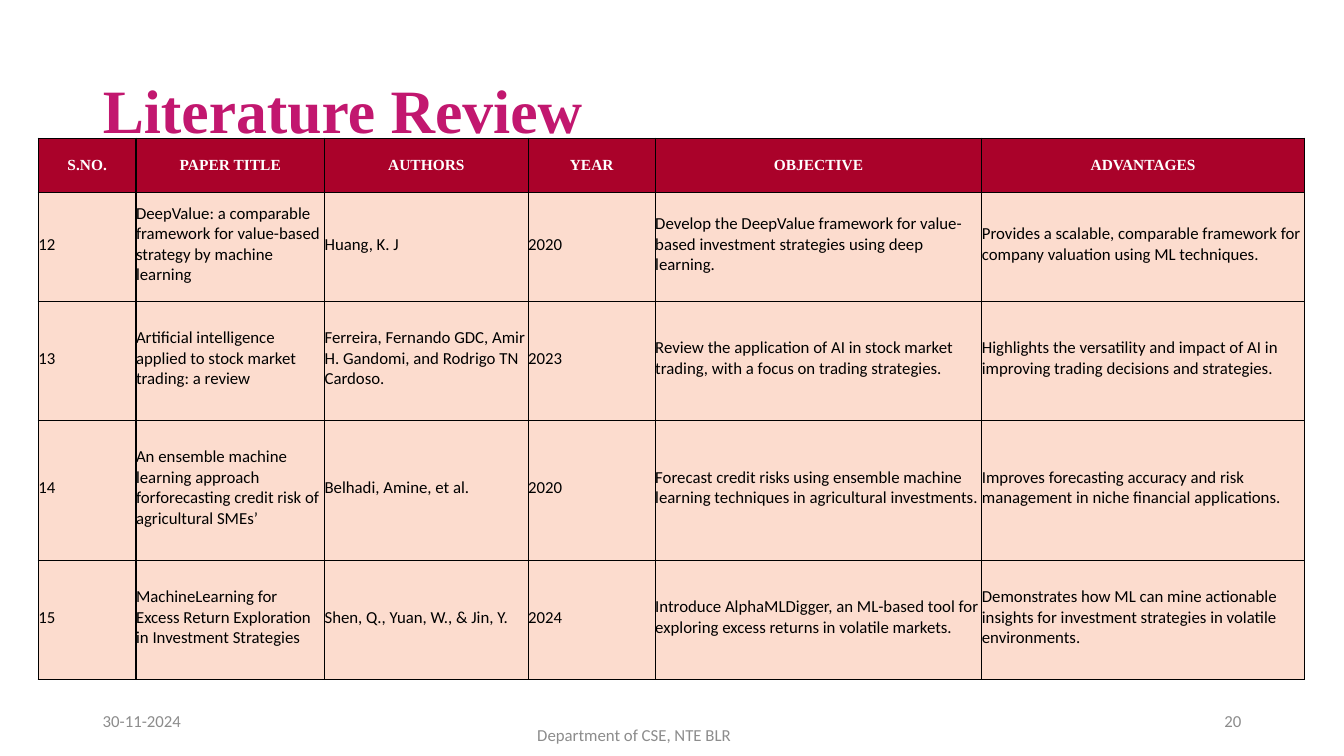
from lxml.etree import SubElement
from pptx import Presentation
from pptx.dml.color import RGBColor
from pptx.enum.text import MSO_ANCHOR, PP_ALIGN
from pptx.oxml.ns import qn
from pptx.util import Inches, Pt

MAGENTA = RGBColor(0xC2, 0x17, 0x6F)
CRIMSON = RGBColor(0xAA, 0x02, 0x2A)
PEACH = RGBColor(0xFC, 0xDC, 0xCE)
GREY = RGBColor(0x8C, 0x8C, 0x8C)
WHITE = RGBColor(0xFF, 0xFF, 0xFF)
BLACK = RGBColor(0, 0, 0)

TITLE_FONT = {"name": "Times New Roman", "size": Pt(44), "bold": True}
HEADER_FONT = {"name": "Times New Roman", "size": Pt(11), "bold": True}
BODY_FONT = {"name": "Calibri", "size": Pt(12), "bold": False}

WIDTH, HEIGHT = 13.33, 7.5
MARGIN = 0.92
FOOTER_WIDTH, FOOTER_TOP = 3, 6.95
TABLE_LEFT, TABLE_TOP = 0.38, 1.37
COLUMNS = [0.97, 1.87, 2.02, 1.26, 3.24, 3.2]
ROWS = [0.54, 1.08, 1.18, 1.39, 1.18]

PAPERS = [
    ("S.NO.", "PAPER TITLE", "AUTHORS", "YEAR", "OBJECTIVE", "ADVANTAGES"),
    ("12",
     "DeepValue: a comparable framework for value-based strategy by machine learning",
     "Huang, K. J", "2020",
     "Develop the DeepValue framework for value-based investment strategies using deep learning.",
     "Provides a scalable, comparable framework for company valuation using ML techniques."),
    ("13",
     "Artificial intelligence applied to stock market trading: a review",
     "Ferreira, Fernando GDC, Amir H. Gandomi, and Rodrigo TN Cardoso.", "2023",
     "Review the application of AI in stock market trading, with a focus on trading strategies.",
     "Highlights the versatility and impact of AI in improving trading decisions and strategies."),
    ("14",
     "An ensemble machine learning approach forforecasting credit risk of agricultural SMEs’",
     "Belhadi, Amine, et al.", "2020",
     "Forecast credit risks using ensemble machine learning techniques in agricultural investments.",
     "Improves forecasting accuracy and risk management in niche financial applications."),
    ("15",
     "MachineLearning for Excess Return Exploration in Investment Strategies",
     "Shen, Q., Yuan, W., & Jin, Y.", "2024",
     "Introduce AlphaMLDigger, an ML-based tool for exploring excess returns in volatile markets.",
     "Demonstrates how ML can mine actionable insights for investment strategies in volatile environments."),
]


def write(tf, text, font, color, align=PP_ALIGN.LEFT):
    p = tf.paragraphs[0]
    p.alignment = align
    r = p.add_run()
    r.text = text
    for name, value in font.items():
        setattr(r.font, name, value)
    r.font.color.rgb = color
    return p


def add_title(s, text):
    title = s.shapes.title
    title.left, title.top = Inches(MARGIN), Inches(0.4)
    title.width, title.height = Inches(WIDTH - 2 * MARGIN), Inches(1.45)
    tf = title.text_frame
    tf.vertical_anchor = MSO_ANCHOR.MIDDLE
    write(tf, text, TITLE_FONT, MAGENTA).line_spacing = 0.9


def add_footer(s, text, left, top, width, align):
    box = s.shapes.add_textbox(Inches(left), Inches(top), Inches(width), Inches(0.4))
    tf = box.text_frame
    tf.word_wrap = True
    tf.vertical_anchor = MSO_ANCHOR.MIDDLE
    write(tf, text, BODY_FONT, GREY, align)


def add_borders(cell):
    tc_pr = cell._tc.get_or_add_tcPr()
    for side in ("a:lnL", "a:lnR", "a:lnT", "a:lnB"):
        line = SubElement(tc_pr, qn(side), w=str(Pt(1)))
        fill = SubElement(line, qn("a:solidFill"))
        SubElement(fill, qn("a:srgbClr"), val=str(BLACK))


def fill_cell(cell, text, is_header):
    add_borders(cell)
    cell.fill.solid()
    cell.fill.fore_color.rgb = CRIMSON if is_header else PEACH
    cell.vertical_anchor = MSO_ANCHOR.MIDDLE
    if is_header:
        write(cell.text_frame, text, HEADER_FONT, WHITE, PP_ALIGN.CENTER)
    else:
        cell.margin_left = cell.margin_top = cell.margin_right = 0
        cell.margin_bottom = Inches(0.05)
        write(cell.text_frame, text, BODY_FONT, BLACK)


def add_papers_table(s):
    table = s.shapes.add_table(
        len(ROWS), len(COLUMNS), Inches(TABLE_LEFT), Inches(TABLE_TOP),
        Inches(sum(COLUMNS)), Inches(sum(ROWS))).table
    for column, width in zip(table.columns, COLUMNS):
        column.width = Inches(width)
    for row, height in zip(table.rows, ROWS):
        row.height = Inches(height)
    for i, paper in enumerate(PAPERS):
        for j, text in enumerate(paper):
            fill_cell(table.cell(i, j), text, i == 0)


def main():
    prs = Presentation()
    prs.slide_width, prs.slide_height = Inches(WIDTH), Inches(HEIGHT)
    s = prs.slides.add_slide(prs.slide_layouts[5])
    add_title(s, "Literature Review")
    add_footer(s, "30-11-2024", MARGIN, FOOTER_TOP, FOOTER_WIDTH, PP_ALIGN.LEFT)
    add_footer(s, "Department of CSE, NTE BLR", 4.04, 7.09, 4.5, PP_ALIGN.CENTER)
    add_footer(s, "20", WIDTH - MARGIN - FOOTER_WIDTH, FOOTER_TOP, FOOTER_WIDTH,
               PP_ALIGN.RIGHT)
    add_papers_table(s)
    prs.save("out.pptx")


if __name__ == "__main__":
    main()
